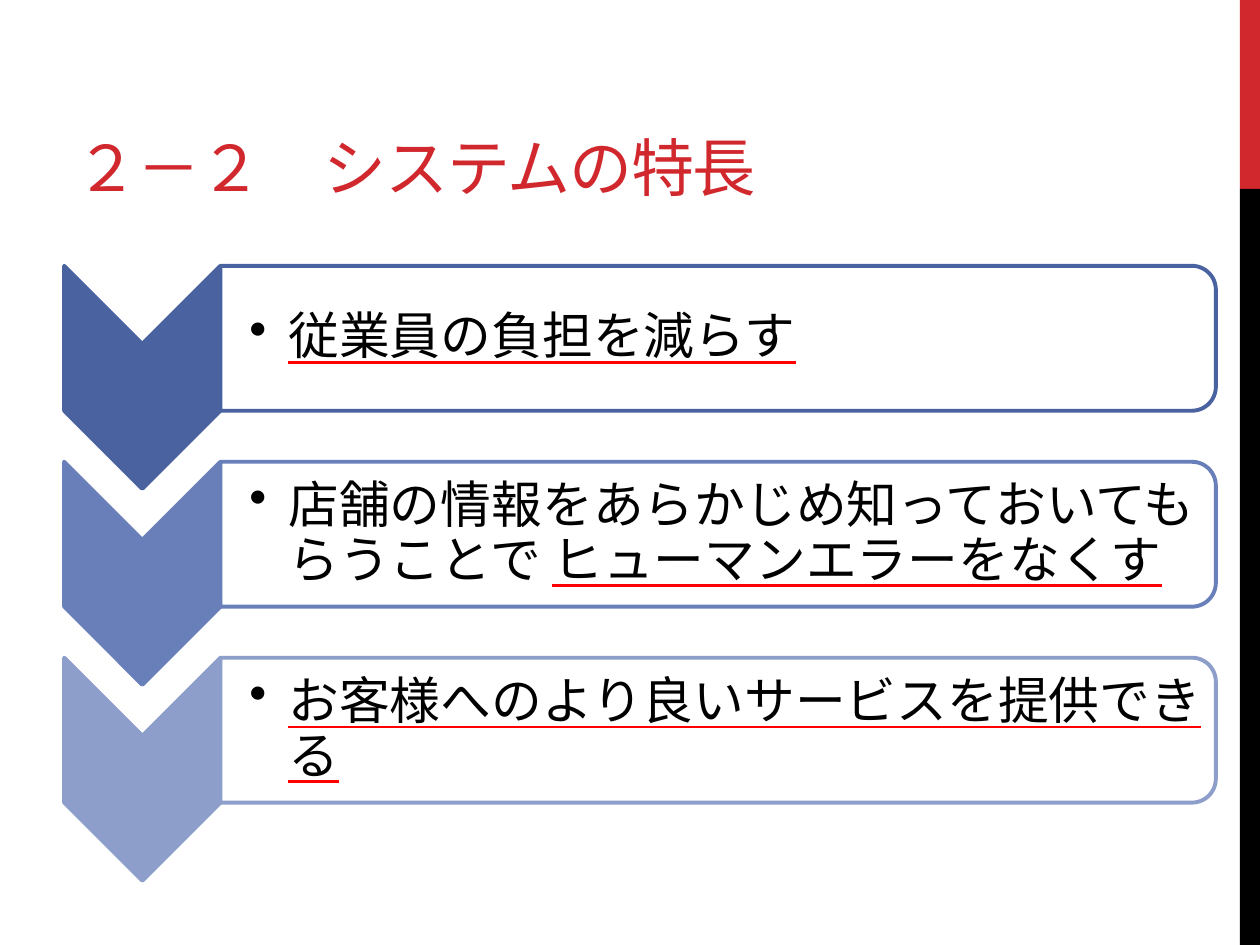
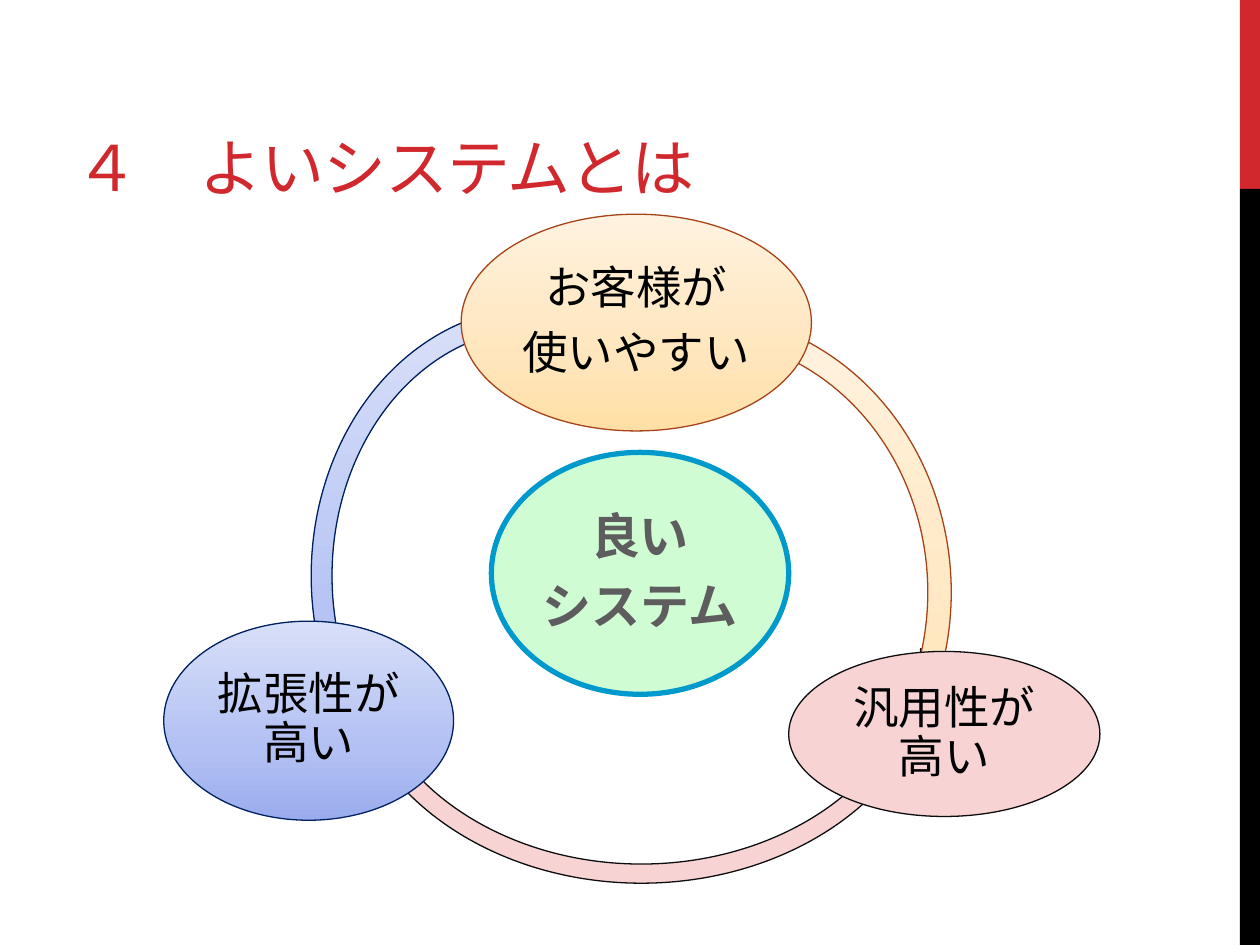
"""Builds two slides: the strengths of a system and what makes a system good."""
import copy
import math

import lxml.etree
import pptx
import pptx.dml.color
import pptx.enum.shapes
import pptx.enum.text
import pptx.oxml.ns
import pptx.util

Inches, Pt, qn = pptx.util.Inches, pptx.util.Pt, pptx.oxml.ns.qn
SHAPES = pptx.enum.shapes.MSO_SHAPE
ALIGN = pptx.enum.text.PP_ALIGN
ANCHOR = pptx.enum.text.MSO_ANCHOR

RED, BLACK, WHITE, UNDERLINE = "D1282E", "000000", "FFFFFF", "FF0000"
PINK = "F7D3D4"
BLUES = ("9AACED", "B2C0F3", "D8DFF9")
ORANGES = ("FFDFA5", "FFE6BD", "FFF2DF")
STOP_POSITIONS = (0, 0.35, 1)

BANDS = [((9.84, 0, 0.16, 1.5), RED), ((9.84, 1.5, 0.16, 6), BLACK)]
TITLE_BOX = (0.5, 0.17, 6.33, 1.5)

STRENGTHS_TITLE = "２－２　システムの特長"
STRENGTHS = [
    ("4A63A0", [("従業員の負担を減らす", True)]),
    ("687FB9", [("店舗の情報をあらかじめ知っておいてもらうことで ", False),
                ("ヒューマンエラーをなくす", True)]),
    ("8D9ECA", [("お客様へのより良いサービスを提供できる", True)]),
]
FIRST_TOP, LAST_TOP = 2.11, 5.22
CHEVRON_LEFT, CHEVRON_WIDTH = 0.51, 1.24
PANEL_RIGHT, PANEL_HEIGHT, CORNER = 9.65, 1.15, 0.19

QUALITIES_TITLE = "４　よいシステムとは"
ARCS = [
    ((2.47, 2.44, 3.59, 4.26), (88.532, 174.898, 0.046), BLUES, "002060"),
    ((2.72, 3.2, 4.74, 3.81), (0.674, 108.674, 0.04), PINK, "0D0D0D"),
    ((3.5, 2.49, 4.05, 4.42), (151.243, 20.497, 0.046), ORANGES, "A6431A"),
]
GOAL = {"size": Pt(28), "bold": True}
QUALITY = {"size": Pt(26), "bold": False}
OVALS = [
    ((3.9, 3.59, 2.36, 1.92), ["良い", "システム"], "D0FCD4", "0099CC", 3, GOAL, "5D5D5D"),
    ((3.66, 1.7, 2.78, 1.72), ["お客様が", "使いやすい"], ORANGES, "A6431A", 0.75, QUALITY, BLACK),
    ((6.26, 5.17, 2.47, 1.31), ["汎用性が高い"], PINK, "0D0D0D", 0.75, QUALITY, BLACK),
    ((1.3, 4.93, 2.3, 1.58), ["拡張性が高い"], BLUES, "002060", 0.75, QUALITY, BLACK),
]


def rgb(hex_colour):
    """Turn a hex string into a colour."""
    return pptx.dml.color.RGBColor.from_string(hex_colour)


def apply(target, formats):
    """Set every format value on the target."""
    for name, value in formats.items():
        setattr(target, name, value)


def paint(shape, fill, line=None, weight=0.75):
    """Fill with one colour or three gradient colours, and outline."""
    shape.shadow.inherit = False
    if isinstance(fill, str):
        shape.fill.solid()
        shape.fill.fore_color.rgb = rgb(fill)
    else:
        shape.fill.gradient()
        shape.fill.gradient_angle = 90
        stop_list = next(shape._element.spPr.iter(qn("a:gsLst")))
        stop_list.insert(1, copy.deepcopy(stop_list[0]))
        for stop, colour, position in zip(shape.fill.gradient_stops, fill, STOP_POSITIONS):
            stop.color.rgb = rgb(colour)
            stop.position = position
    if line:
        shape.line.color.rgb = rgb(line)
        shape.line.width = Pt(weight)
    else:
        shape.line.fill.background()


def add_preset(slide, preset, box):
    """Add a preset shape in a box given in inches."""
    return slide.shapes.add_shape(preset, *map(Inches, box))


def add_outline(slide, points):
    """Add a closed freeform through points given in inches."""
    corners = [(Inches(x), Inches(y)) for x, y in points]
    builder = slide.shapes.build_freeform(*corners[0])
    builder.add_line_segments(corners[1:])
    return builder.convert_to_shape()


def set_frame(shape, insets, anchor):
    """Set wrapping, insets and anchor, and return the text frame."""
    left, top, right, bottom = map(Inches, insets)
    apply(shape.text_frame, {
        "word_wrap": True, "auto_size": pptx.enum.text.MSO_AUTO_SIZE.NONE,
        "vertical_anchor": anchor, "margin_left": left, "margin_top": top,
        "margin_right": right, "margin_bottom": bottom})
    return shape.text_frame


def add_run(paragraph, text, colour, formats):
    """Add a run with font values and a colour."""
    run = paragraph.add_run()
    run.text = text
    apply(run.font, formats)
    run.font.color.rgb = rgb(colour)
    return run


def add_slide(deck, title):
    """Add a slide with the shared title style."""
    slide = deck.slides.add_slide(deck.slide_layouts[5])
    heading = slide.shapes.title
    apply(heading, dict(zip(("left", "top", "width", "height"), map(Inches, TITLE_BOX))))
    frame = set_frame(heading, (0.1, 0.05, 0.1, 0.05), ANCHOR.BOTTOM)
    frame.paragraphs[0].alignment = ALIGN.LEFT
    run = add_run(frame.paragraphs[0], title, RED, {"size": Pt(36), "name": "Montserrat"})
    run._r.get_or_add_rPr().set("spc", "-60")
    return slide


def add_bands(deck, slide):
    """Draw the side bands and move them to the master."""
    bands = []
    for box, colour in BANDS:
        band = add_preset(slide, SHAPES.RECTANGLE, box)
        paint(band, colour)
        bands.append(band)
    for band in bands:
        deck.slide_master.shapes._spTree.append(band._element)


def underline(run):
    """Underline a run in its own colour."""
    run.font.underline = True
    underline_fill = lxml.etree.Element(qn("a:uFill"))
    solid = lxml.etree.SubElement(underline_fill, qn("a:solidFill"))
    lxml.etree.SubElement(solid, qn("a:srgbClr"), val=UNDERLINE)
    run._r.rPr.find(qn("a:latin")).addprevious(underline_fill)


def add_strength(slide, top, colour, parts):
    """Draw one chevron and the panel beside it."""
    left, right = CHEVRON_LEFT, CHEVRON_LEFT + CHEVRON_WIDTH
    middle, notch = left + CHEVRON_WIDTH / 2, CHEVRON_WIDTH / 2
    bottom = top + PANEL_HEIGHT
    chevron = add_outline(slide, [(right, top), (right, bottom), (middle, bottom + notch),
                                  (left, bottom), (left, top), (middle, top + notch)])
    paint(chevron, colour, colour, 2.25)

    arc = [(CORNER * math.sin(math.radians(a)), CORNER * math.cos(math.radians(a)))
           for a in range(0, 91, 6)]
    centre = PANEL_RIGHT - CORNER
    upper = [(centre + x, top + CORNER - y) for x, y in arc]
    lower = [(centre + x, bottom - CORNER + y) for x, y in reversed(arc)]
    panel = add_outline(slide, [(right, top), *upper, *lower, (right, bottom)])
    paint(panel, WHITE, colour, 2.25)
    fill_colour = panel._element.spPr.find(qn("a:solidFill"))[0]
    lxml.etree.SubElement(fill_colour, qn("a:alpha"), val="90000")

    paragraph = set_frame(panel, (0.23, 0.08, 0.08, 0.08), ANCHOR.MIDDLE).paragraphs[0]
    apply(paragraph, {"level": 1, "alignment": ALIGN.LEFT, "line_spacing": 0.9,
                      "space_after": Pt(29 * 0.15)})
    properties = paragraph._p.get_or_add_pPr()
    properties.set("marL", str(Inches(0.31)))
    properties.set("indent", str(Inches(-0.31)))
    lxml.etree.SubElement(properties, qn("a:buChar"), char="•")
    for text, underlined in parts:
        run = add_run(paragraph, text, BLACK, {"size": Pt(29), "name": "Arial"})
        if underlined:
            underline(run)


def add_oval(slide, box, lines, fill, line, weight, formats, colour):
    """Draw an ellipse with centred lines of text."""
    oval = add_preset(slide, SHAPES.OVAL, box)
    paint(oval, fill, line, weight)
    frame = set_frame(oval, (0.04,) * 4, ANCHOR.MIDDLE)
    for number, text in enumerate(lines):
        paragraph = frame.add_paragraph() if number else frame.paragraphs[0]
        apply(paragraph, {"alignment": ALIGN.CENTER, "line_spacing": 0.9,
                          "space_after": Pt(formats["size"].pt * 0.35)})
        add_run(paragraph, text, colour, {**formats, "name": "Arial"})


def main():
    """Build and save the deck."""
    deck = pptx.Presentation()
    apply(deck, {"slide_width": Inches(10), "slide_height": Inches(7.5)})

    strengths = add_slide(deck, STRENGTHS_TITLE)
    pitch = (LAST_TOP - FIRST_TOP) / (len(STRENGTHS) - 1)
    for number, (colour, parts) in enumerate(STRENGTHS):
        add_strength(strengths, FIRST_TOP + number * pitch, colour, parts)
    add_bands(deck, strengths)

    qualities = add_slide(deck, QUALITIES_TITLE)
    for box, bends, fill, line in ARCS:
        ring = add_preset(qualities, SHAPES.BLOCK_ARC, box)
        for number, bend in enumerate(bends):
            ring.adjustments[number] = bend
        paint(ring, fill, line)
    for oval in OVALS:
        add_oval(qualities, *oval)

    deck.save("out.pptx")


main()
